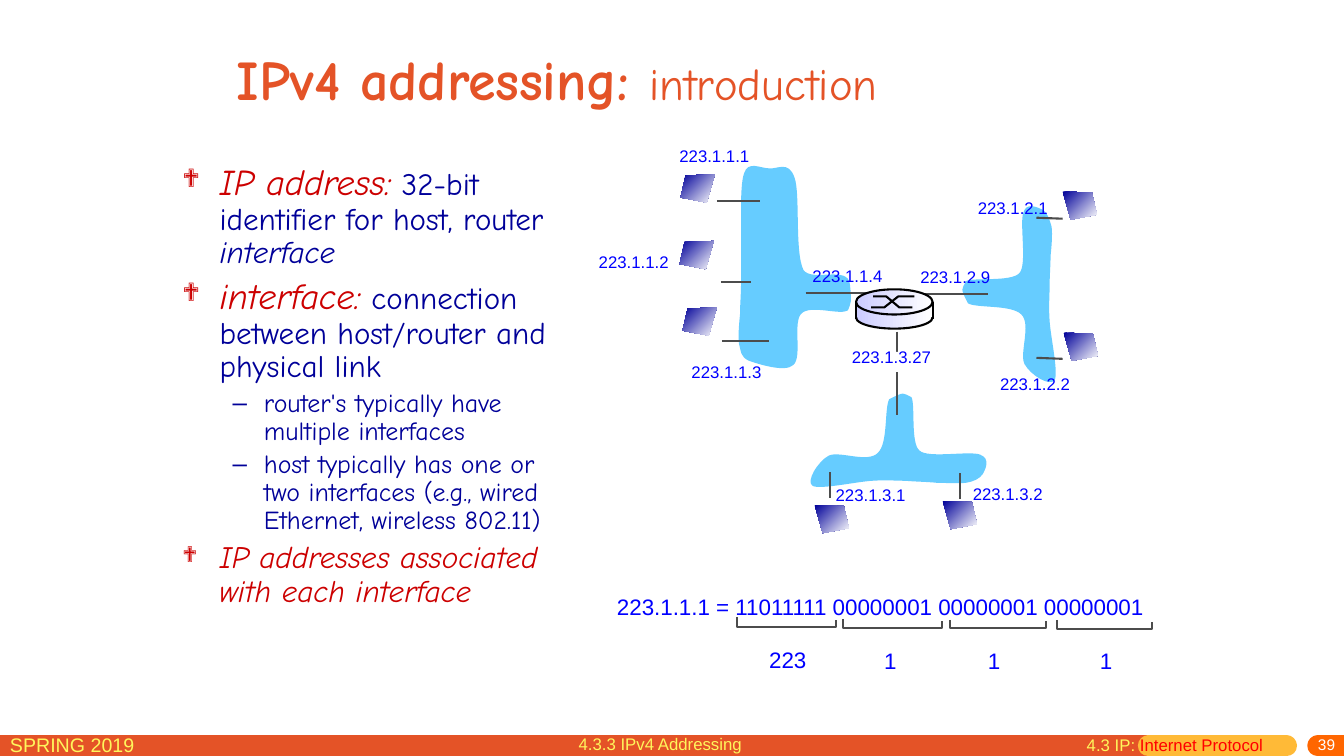
import pptx
import pptx.dml.color
import pptx.enum.shapes
import pptx.enum.text
import pptx.oxml
import pptx.oxml.ns
import pptx.util
from pptx.util import Cm

RGBColor = pptx.dml.color.RGBColor
Shape = pptx.enum.shapes.MSO_SHAPE
Align = pptx.enum.text.PP_ALIGN
Anchor = pptx.enum.text.MSO_ANCHOR
qn = pptx.oxml.ns.qn

ORANGE = RGBColor(0xE4, 0x53, 0x27)
AMBER = RGBColor(0xFF, 0xBA, 0x37)
BRIGHT_ORANGE = RGBColor(0xFF, 0x66, 0x00)
YELLOW = RGBColor(0xFF, 0xF6, 0x5C)
RED = RGBColor(0xFF, 0x00, 0x00)
DARK_RED = RGBColor(0xCC, 0x00, 0x00)
NAVY = RGBColor(0x00, 0x00, 0x99)
BLUE = RGBColor(0x00, 0x00, 0xFF)
SKY = RGBColor(0x66, 0xCC, 0xFF)
LILAC = RGBColor(0xCC, 0xCC, 0xFF)
GREY = RGBColor(0x4C, 0x4C, 0x4C)
BLACK = RGBColor(0x00, 0x00, 0x00)
WHITE = RGBColor(0xFF, 0xFF, 0xFF)

HAND = "Comic Neue"

# Each subnet outline: start point, then (control, control, end) per curve.
SUBNETS = [
    [(8.82, 3.96),
     (8.77, 4.05), (8.81, 4.39), (8.71, 4.49), (8.61, 4.6), (8.33, 4.47), (8.22, 4.52),
     (8.11, 4.58), (7.99, 4.78), (8.06, 4.82), (8.13, 4.86), (8.49, 4.78), (8.65, 4.77),
     (8.8, 4.76), (8.88, 4.77), (8.98, 4.77), (9.09, 4.78), (9.2, 4.78), (9.29, 4.79),
     (9.39, 4.79), (9.5, 4.8), (9.58, 4.79), (9.65, 4.78), (9.72, 4.75), (9.75, 4.7),
     (9.77, 4.66), (9.83, 4.55), (9.72, 4.51), (9.62, 4.47), (9.2, 4.55), (9.12, 4.47),
     (9.03, 4.4), (9.08, 4.01), (9.04, 3.94), (8.95, 3.9), (8.98, 3.88), (8.82, 3.96)],
    [(9.6, 3.01),
     (9.69, 3.06), (10.03, 3.02), (10.13, 3.12), (10.23, 3.22), (10.11, 3.5), (10.16, 3.61),
     (10.22, 3.72), (10.41, 3.84), (10.46, 3.77), (10.5, 3.7), (10.42, 3.34), (10.41, 3.18),
     (10.4, 3.03), (10.41, 2.95), (10.41, 2.85), (10.41, 2.74), (10.42, 2.63), (10.42, 2.54),
     (10.43, 2.44), (10.44, 2.33), (10.43, 2.25), (10.41, 2.18), (10.39, 2.11), (10.34, 2.08),
     (10.29, 2.06), (10.18, 2), (10.15, 2.11), (10.11, 2.21), (10.19, 2.63), (10.11, 2.71),
     (10.03, 2.8), (9.65, 2.75), (9.58, 2.79), (9.54, 2.88), (9.52, 2.85), (9.6, 3.01)],
    [(8.43, 2.82),
     (8.41, 2.63), (8.06, 2.8), (7.97, 2.68), (7.88, 2.5), (7.94, 1.92), (7.88, 1.76),
     (7.82, 1.59), (7.71, 1.68), (7.63, 1.67), (7.54, 1.67), (7.42, 1.59), (7.38, 1.72),
     (7.33, 1.86), (7.36, 2.3), (7.35, 2.48), (7.35, 2.66), (7.35, 2.71), (7.35, 2.81),
     (7.35, 2.92), (7.34, 3.03), (7.34, 3.12), (7.33, 3.22), (7.32, 3.33), (7.33, 3.41),
     (7.35, 3.48), (7.34, 3.54), (7.43, 3.58), (7.52, 3.61), (7.79, 3.7), (7.87, 3.62),
     (7.96, 3.54), (7.86, 3.19), (7.95, 3.11), (8.04, 3.02), (8.33, 3.13), (8.41, 3.08),
     (8.44, 3), (8.45, 3.01), (8.43, 2.82)],
]
ADDRESSES = [("223.1.1.1", 6.64, 1.4), ("223.1.1.2", 5.84, 2.45), ("223.1.1.3", 6.76, 3.54),
             ("223.1.1.4", 7.96, 2.59), ("223.1.2.9", 9.03, 2.6), ("223.1.2.2", 9.82, 3.66),
             ("223.1.2.1", 9.6, 1.91), ("223.1.3.2", 9.55, 4.75), ("223.1.3.1", 8.19, 4.76)]
LINKS = [(9.16, 2.92, 9.8, 2.92), (10.28, 2.16, 10.54, 2.17), (10.28, 3.55, 10.54, 3.56),
         (8.9, 3.29, 8.9, 4.12), (8.23, 4.94, 8.23, 4.68), (9.52, 4.95, 9.52, 4.69),
         (7.11, 1.99, 7.54, 1.99), (7.15, 2.8, 7.45, 2.8), (7.16, 3.38, 7.63, 3.38),
         (7.99, 2.91, 8.6, 2.91)]
LABEL_BACKS = [(5.93, 2.54, 0.91, 0.2), (8.45, 3.49, 0.93, 0.2)]
LEFT_HOSTS = [(6.75, 1.73), (6.74, 2.39), (6.77, 3.05)]
RIGHT_HOSTS = [(10.54, 1.9), (10.55, 3.3), (9.35, 4.97), (8.08, 5.01)]
HOST_OUTLINE = [(0, 0), (0.29, 0.01), (0.34, 0.23), (0.08, 0.28)]
BRACKETS = [(7.31, 6.12, 8.29, 6.22), (8.36, 6.14, 9.34, 6.23),
            (9.42, 6.15, 10.37, 6.23), (10.48, 6.15, 11.43, 6.24)]
OCTETS = [("223", 7.53, 6.36, 0.57), ("1", 8.67, 6.37, 0.32),
          ("1", 9.7, 6.37, 0.32), ("1", 10.81, 6.37, 0.32)]
# Per level: bullet, its font, size in percent, indent, hanging, space before.
BULLETS = [("❖", "Wingdings", 70, 0.37, 0.37), ("–", "Arial", 100, 0.81, 0.31)]


def grid(*values):
    """Lengths for positions on the one-inch slide grid."""
    return [Cm(2.54 * v) for v in values]


def xml(markup):
    """An element from markup such as 'buChar char="–"'."""
    return pptx.oxml.parse_xml("<a:%s %s/>" % (markup, pptx.oxml.ns.nsdecls("a")))


def add_run(p, text, size=12, color=BLUE, font="Arial", bold=False, italic=False):
    r = p.add_run()
    r.text = text
    f = r.font
    f.size, f.name, f.bold, f.italic = pptx.util.Pt(size), font, bold, italic
    f.color.rgb = color


def add_box(s, x, y, w, h, wrap=True, anchor=Anchor.TOP):
    tf = s.shapes.add_textbox(*grid(x, y, w, h)).text_frame
    tf.word_wrap = wrap
    tf.vertical_anchor = anchor
    if not wrap:
        tf.auto_size = pptx.enum.text.MSO_AUTO_SIZE.SHAPE_TO_FIT_TEXT
    return tf


def add_label(s, text, x, y, w=0.9, h=0.3, **fmt):
    add_run(add_box(s, x, y, w, h, wrap=False).paragraphs[0], text, **fmt)


def add_line(s, x1, y1, x2, y2, color=GREY, width=1.5, cap="flat"):
    c = s.shapes.add_connector(pptx.enum.shapes.MSO_CONNECTOR.STRAIGHT, *grid(x1, y1, x2, y2))
    c.line.color.rgb = color
    c.line.width = pptx.util.Pt(width)
    spPr = c.element.spPr
    spPr.find(qn("a:ln")).set("cap", cap)
    spPr.append(xml("effectLst"))


def paint(sp, fill=None, line=None, angle=0):
    """Fill with nothing, a colour, or a pair of gradient colours; then outline."""
    sp.shadow.inherit = False
    if fill is None:
        sp.fill.background()
    elif isinstance(fill, RGBColor):
        sp.fill.solid()
        sp.fill.fore_color.rgb = fill
    else:
        sp.fill.gradient()
        sp.fill.gradient_angle = angle
        for stop, color in zip(sp.fill.gradient_stops, fill):
            stop.color.rgb = color
    if line is None:
        sp.line.fill.background()
    else:
        sp.line.color.rgb = line
        sp.line.width = pptx.util.Pt(1.5)


def add_preset(s, kind, x, y, w, h, **look):
    paint(s.shapes.add_shape(kind, *grid(x, y, w, h)), **look)


def add_outline(s, points, close=True, **look):
    pts = [grid(*pt) for pt in points]
    fb = s.shapes.build_freeform(*pts[0])
    fb.add_line_segments(pts[1:], close=close)
    sp = fb.convert_to_shape()
    paint(sp, **look)
    return sp


def add_curved_outline(s, nodes, **look):
    """Turn each three straight segments of the outline into one cubic curve."""
    sp = add_outline(s, nodes, **look)
    segments = list(sp.element.spPr.iter(qn("a:lnTo")))
    for i in range(0, len(nodes) - 1, 3):
        curve = xml("cubicBezTo")
        segments[i].addprevious(curve)
        for segment in segments[i:i + 3]:
            curve.append(segment[0])
            segment.getparent().remove(segment)


def add_bullet(tf, runs, level=0):
    p = tf.paragraphs[0]
    first = not p.runs
    if not first:
        p = tf.add_paragraph()
    char, font, percent, left, hang = BULLETS[level]
    pPr = p._p.get_or_add_pPr()
    margin, indent = grid(left, -hang)
    pPr.set("marL", str(margin))
    pPr.set("indent", str(indent))
    pPr.append(xml('buSzPct val="%d"' % (percent * 1000)))
    pPr.append(xml('buFont typeface="%s"' % font))
    pPr.append(xml('buChar char="%s"' % char))
    p.level = level
    p.line_spacing = 0.9
    p.space_before = pptx.util.Pt(0 if first else round(0.21 * runs[0][1], 1))
    for text, size, color, italic in runs:
        add_run(p, text, size=size, color=color, font=HAND, italic=italic)


def add_body(s):
    tf = add_box(s, 1.71, 1.58, 4.04, 5.08)
    add_bullet(tf, [("IP address:", 25.9, DARK_RED, True),
                    (" 32-bit identifier for host, router ", 22.2, NAVY, False),
                    ("interface", 22.2, NAVY, True)])
    add_bullet(tf, [("interface:", 25.9, DARK_RED, True),
                    (" connection between host/router and physical link", 22.2, NAVY, False)])
    for text in ("router's typically have multiple interfaces",
                 "host typically has one or two interfaces (e.g., wired Ethernet, wireless 802.11)"):
        add_bullet(tf, [(text, 18.5, NAVY, False)], level=1)
    add_bullet(tf, [("IP addresses associated with each interface", 22.2, DARK_RED, True)])


def add_router(s):
    metal = (LILAC, WHITE)
    add_preset(s, Shape.OVAL, 8.49, 3.04, 0.76, 0.22, fill=metal, line=BLACK)
    add_preset(s, Shape.RECTANGLE, 8.49, 3.02, 0.76, 0.13, fill=metal)
    add_preset(s, Shape.OVAL, 8.49, 2.87, 0.76, 0.25, fill=metal, line=BLACK)
    for xs, y1, y2 in (((8.64, 8.77, 8.91, 9.07), 3.05, 2.94), ((8.66, 8.79, 8.92, 9.05), 2.94, 3.05)):
        add_outline(s, zip(xs, (y1, y1, y2, y2)), close=False, line=BLACK)
    for x in (8.49, 9.25):
        add_line(s, x, 3, x, 3.16, color=BLACK)


def add_network(s):
    for nodes in SUBNETS:
        add_curved_outline(s, nodes, fill=SKY)
    for link in LINKS:
        add_line(s, *link)
    for back in LABEL_BACKS:
        add_preset(s, Shape.RECTANGLE, *back, fill=WHITE)
    for text, x, y in ADDRESSES:
        add_label(s, text, x, y)
    add_label(s, "223.1.3.27", 8.35, 3.39, w=1)
    for hosts, mirror in ((LEFT_HOSTS, True), (RIGHT_HOSTS, False)):
        for x, y in hosts:
            add_outline(s, [(x + (0.34 - dx if mirror else dx), y + dy) for dx, dy in HOST_OUTLINE],
                        fill=(NAVY, WHITE), angle=315)
    add_router(s)


def add_binary_form(s):
    add_label(s, "223.1.1.1 = 11011111 00000001 00000001 00000001", 6.02, 5.84, 5.52, 0.37, size=16)
    for left, top, right, bottom in BRACKETS:
        add_outline(s, [(left, top), (left, bottom), (right, bottom), (right, bottom - 0.07)],
                    close=False, line=GREY)
    for text, x, y, w in OCTETS:
        add_label(s, text, x, y, w, 0.37, size=16)


def add_footer(s):
    for x1, x2, color in ((-0.18, 11.39, ORANGE), (11.39, 12.76, AMBER), (13.07, 13.6, BRIGHT_ORANGE)):
        add_line(s, x1, 7.4, x2, 7.4, color=color, width=15, cap="rnd")
    add_run(add_box(s, 0, 7.22, 2.29, 0.31).paragraphs[0], "SPRING 2019", size=14, color=YELLOW)
    add_run(add_box(s, 5.64, 7.23, 2.89, 0.31).paragraphs[0], "4.3.3 IPv4 Addressing", color=YELLOW)
    p = add_box(s, 10.68, 7.24, 2.2, 0.31).paragraphs[0]
    add_run(p, "4.3 IP: ", color=YELLOW)
    add_run(p, "Internet Protocol", color=RED)
    tf = add_box(s, 10.75, 7.32, 2.59, 0.18, anchor=Anchor.MIDDLE)
    tf.margin_top = 0
    tf.paragraphs[0].alignment = Align.RIGHT
    add_run(tf.paragraphs[0], "39", size=11, color=WHITE)


def main():
    prs = pptx.Presentation()
    prs.slide_width, prs.slide_height = grid(13.33, 7.5)
    s = prs.slides.add_slide(prs.slide_layouts[6])
    add_footer(s)
    p = add_box(s, 2.25, 0.25, 8.5, 1.04, anchor=Anchor.MIDDLE).paragraphs[0]
    add_run(p, "IPv4 addressing: ", size=40, color=ORANGE, font=HAND, bold=True)
    add_run(p, "introduction", size=32, color=ORANGE, font=HAND)
    add_body(s)
    add_network(s)
    add_binary_form(s)
    prs.save("out.pptx")


if __name__ == "__main__":
    main()
